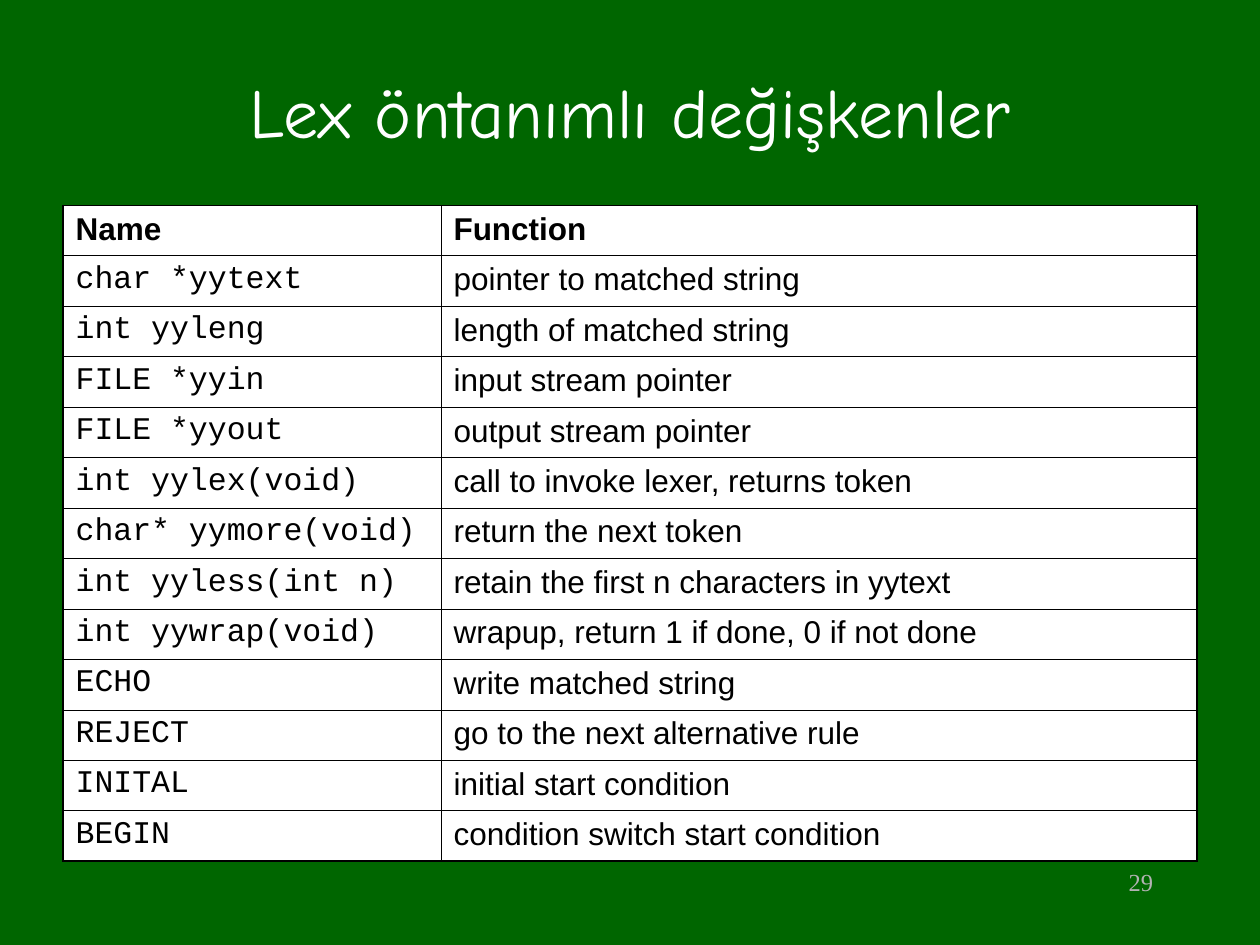
from lxml import etree
from pptx import Presentation
from pptx.dml.color import RGBColor
from pptx.enum.text import MSO_ANCHOR, PP_ALIGN
from pptx.oxml.ns import qn
from pptx.util import Inches, Pt

CENTER, RIGHT, LEFT = PP_ALIGN.CENTER, PP_ALIGN.RIGHT, PP_ALIGN.LEFT
TOP, MIDDLE = MSO_ANCHOR.TOP, MSO_ANCHOR.MIDDLE

COLORS = {
    "background": "006600",
    "title": "FFFFFF",
    "number": "B2B2B2",
    "cell": "FFFFFF",
    "ink": "000000",
}
GRID = 0.25  # inches per column and row: 40 columns by 30 rows
THICK, THIN = 1.08, 0.45

ROWS = [
    ("Name", "Function"),
    ("char *yytext", "pointer to matched string"),
    ("int yyleng", "length of matched string"),
    ("FILE *yyin", "input stream pointer"),
    ("FILE *yyout", "output stream pointer"),
    ("int yylex(void)", "call to invoke lexer, returns token"),
    ("char* yymore(void)", "return the next token"),
    ("int yyless(int n)", "retain the first n characters in yytext"),
    ("int yywrap(void)", "wrapup, return 1 if done, 0 if not done"),
    ("ECHO", "write matched string"),
    ("REJECT", "go to the next alternative rule"),
    ("INITAL", "initial start condition"),
    ("BEGIN", "condition switch start condition"),
]


def grid(n):
    return Inches(n * GRID)


class Deck:
    def __init__(self):
        self.prs = Presentation()
        self.prs.slide_width, self.prs.slide_height = grid(40), grid(30)
        self.s = self.prs.slides.add_slide(self.prs.slide_layouts[6])
        fill = self.s.background.fill
        fill.solid()
        fill.fore_color.rgb = RGBColor.from_string(COLORS["background"])

    def set_text(self, tf, text, font, size, color, align=LEFT, bold=False):
        tf.text = text
        p = tf.paragraphs[0]
        p.alignment = align
        r = p.runs[0]
        r.font.name, r.font.size, r.font.bold = font, Pt(size), bold
        r.font.color.rgb = RGBColor.from_string(COLORS[color])
        return p

    def text(self, col, row, width, height, text, font, size, color, align, anchor=TOP):
        sp = self.s.shapes.add_textbox(grid(col), grid(row), grid(width), grid(height))
        tf = sp.text_frame
        tf.word_wrap = True
        tf.vertical_anchor = anchor
        self.set_text(tf, text, font, size, color, align)

    def border(self, cell, side, width):
        ln = etree.SubElement(cell._tc.get_or_add_tcPr(), qn("a:" + side), w=str(Pt(width)))
        fill = etree.SubElement(ln, qn("a:solidFill"))
        etree.SubElement(fill, qn("a:srgbClr"), val=COLORS["ink"])

    def table(self, col, row, widths, row_height, rows):
        shape = self.s.shapes.add_table(
            len(rows), len(widths), grid(col), grid(row),
            grid(sum(widths)), grid(row_height * len(rows)))
        table = shape.table
        for column, width in zip(table.columns, widths):
            column.width = grid(width)
        last_row, last_col = len(rows) - 1, len(widths) - 1
        for i, values in enumerate(rows):
            table.rows[i].height = grid(row_height)
            for j, value in enumerate(values):
                cell = table.cell(i, j)
                header = i == 0
                font = "Courier New" if j == 0 and not header else "Arial"
                p = self.set_text(cell.text_frame, value, font, 18, "ink", bold=header)
                p.space_before = Pt(4.5)
                # Thick outer frame, thin inner lines; borders precede the fill
                outer = {"lnL": j == 0, "lnR": j == last_col,
                         "lnT": i == 0, "lnB": i == last_row}
                for side, on_frame in outer.items():
                    self.border(cell, side, THICK if on_frame else THIN)
                cell.fill.solid()
                cell.fill.fore_color.rgb = RGBColor.from_string(COLORS["cell"])


def main():
    deck = Deck()
    # Slide number
    deck.text(28.68, 27.32, 8.32, 2, "29", "Times New Roman", 14, "number", RIGHT)
    # Title
    deck.text(3, 1.76, 34, 3.48, "Lex öntanımlı değişkenler",
              "Comic Neue", 40, "title", CENTER, MIDDLE)
    # Predefined names
    deck.table(2, 6.52, (12, 24), 1.6, ROWS)
    deck.prs.save("out.pptx")


if __name__ == "__main__":
    main()
